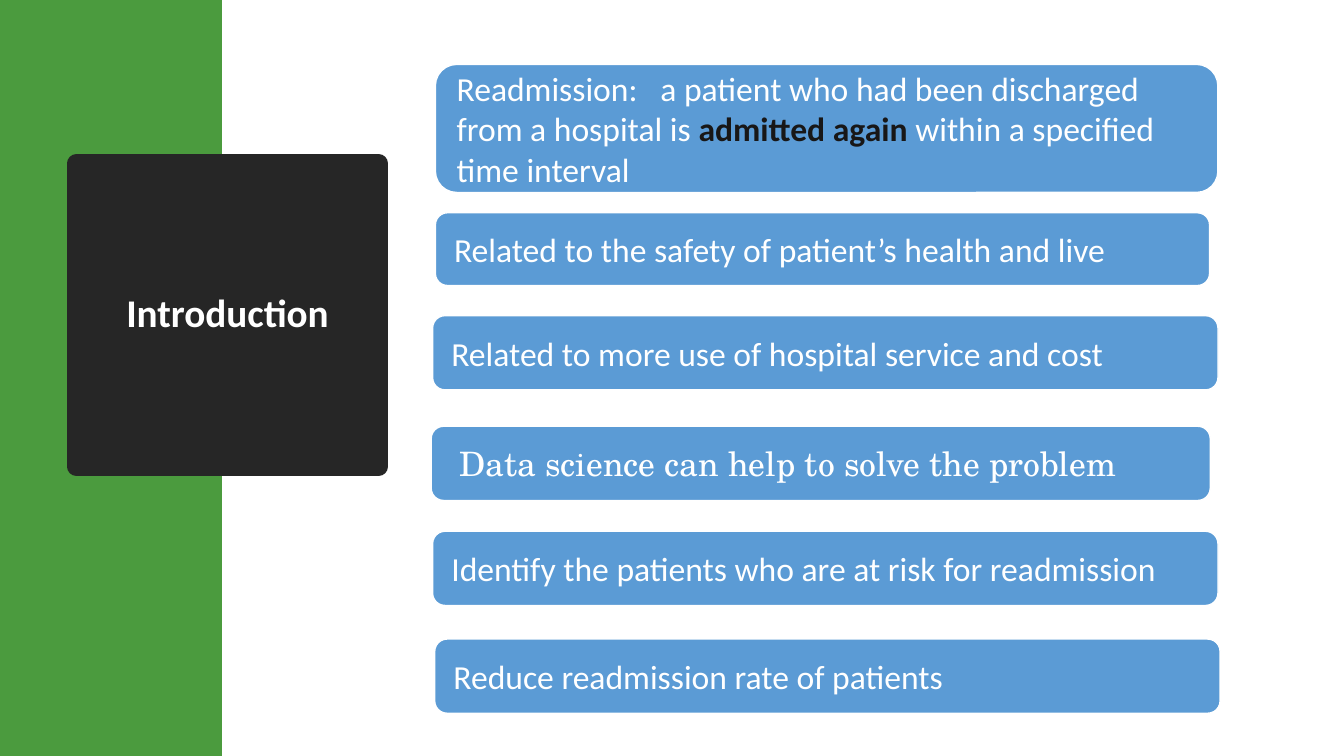
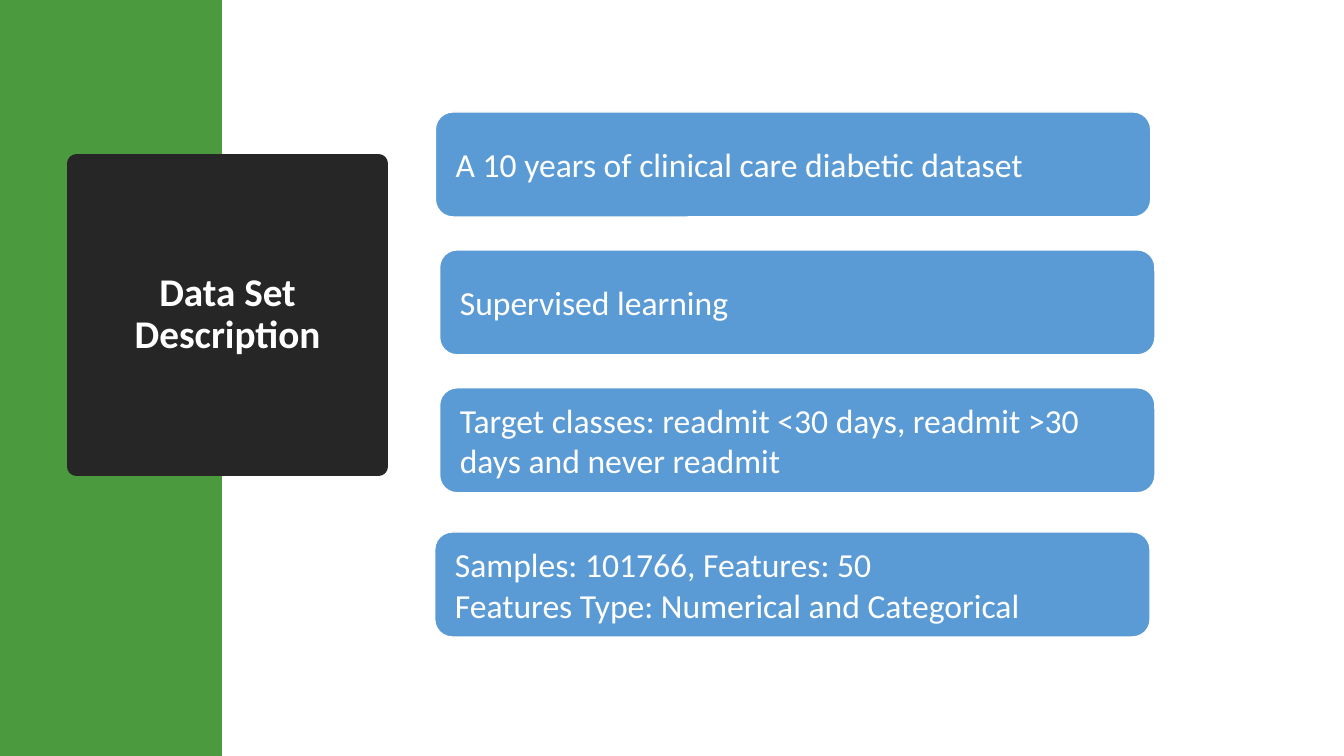
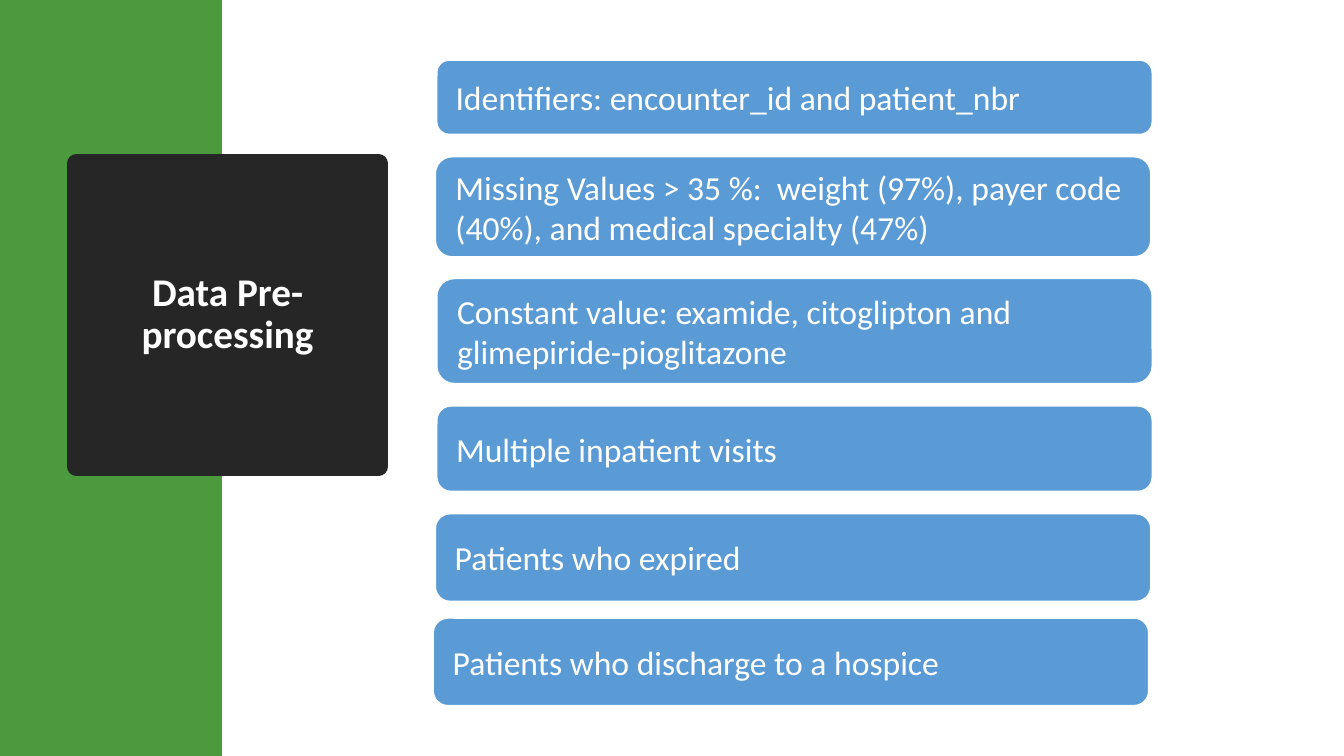
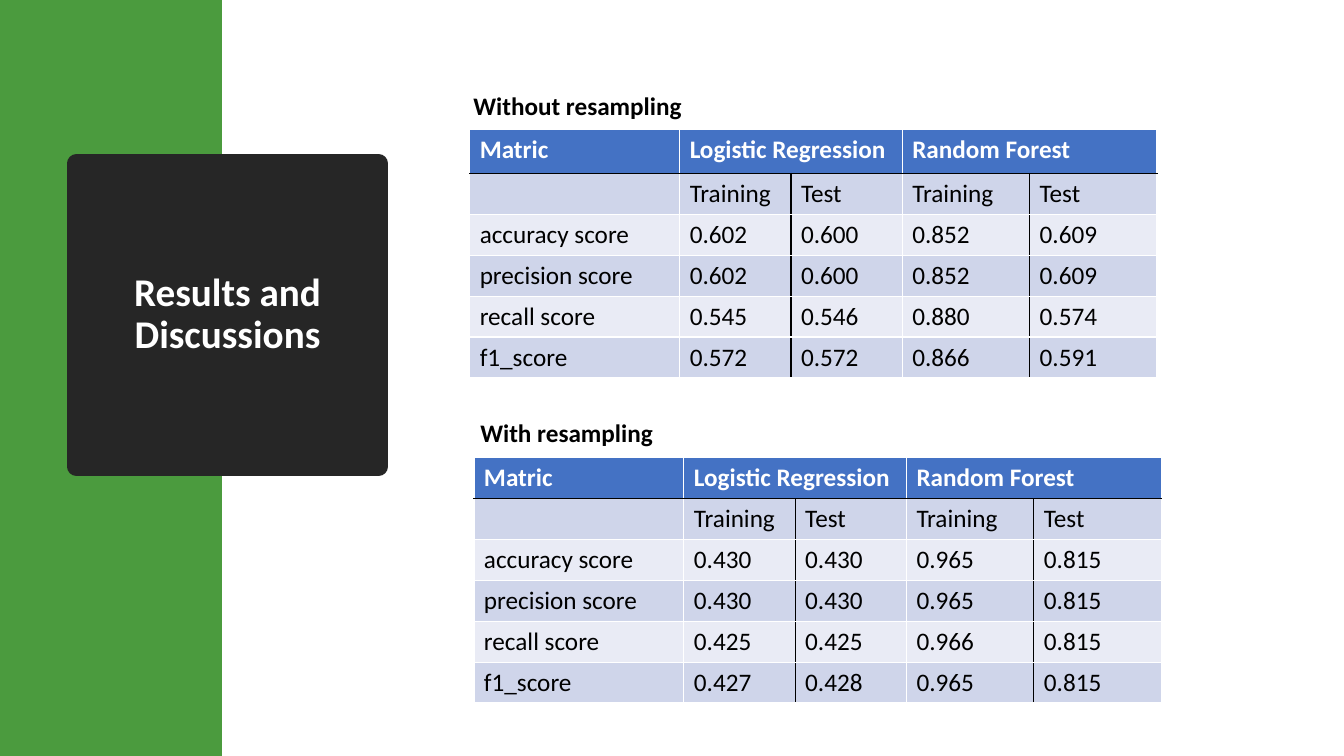
from dataclasses import dataclass
from typing import NamedTuple

from lxml import etree
from pptx import Presentation
from pptx.dml.color import RGBColor
from pptx.enum.shapes import MSO_SHAPE
from pptx.enum.text import MSO_ANCHOR, MSO_AUTO_SIZE, PP_ALIGN
from pptx.oxml.ns import qn
from pptx.presentation import Presentation as Deck
from pptx.slide import Slide
from pptx.table import _Cell
from pptx.text.text import Font
from pptx.util import Pt

RECTANGLE = MSO_SHAPE.RECTANGLE
ROUNDED = MSO_SHAPE.ROUNDED_RECTANGLE
MIDDLE = MSO_ANCHOR.MIDDLE
NO_FIT = MSO_AUTO_SIZE.NONE
LEFT = PP_ALIGN.LEFT
CENTER = PP_ALIGN.CENTER


# Theme: colours, fonts and type sizes
@dataclass(frozen=True)
class Theme:
    green: str = "4B9B3E"
    charcoal: str = "262626"
    card: str = "5B9BD5"
    header: str = "4472C4"
    dark_row: str = "CFD5EA"
    light_row: str = "E9EBF5"
    emphasis: str = "181717"
    white: str = "FFFFFF"
    black: str = "000000"
    font: str = "Calibri"
    serif: str = "TeX Gyre Schola"
    title_size: float = 28
    card_size: float = 24
    table_size: float = 18


THEME = Theme()


# Content types; lengths are in points
class Span(NamedTuple):
    text: str
    strong: bool = False


class Card(NamedTuple):
    left: float
    top: float
    width: float
    height: float
    lines: list[list[Span]]
    font: str = THEME.font


class Scores(NamedTuple):
    caption: str
    caption_left: float
    caption_top: float
    left: float
    top: float
    header_height: float
    rows: list[list[str]]


def plain(*lines: str) -> list[list[Span]]:
    return [[Span(line)] for line in lines]


# Slide content
INTRODUCTION = [
    Card(311, 46, 559, 91.5, [[
        Span("Readmission:   a patient who had been discharged from a hospital is "),
        Span("admitted again ", strong=True),
        Span("within a specified time interval"),
    ]]),
    Card(311, 152, 553, 52, plain("Related to the safety of patient’s health and live")),
    Card(309, 225.5, 561, 53, plain("Related to more use of hospital service and cost")),
    Card(308, 304.5, 556.5, 53, plain(" Data science can help to solve the problem"),
         THEME.serif),
    Card(309, 379.5, 561, 53,
         plain("Identify the patients who are at risk for readmission")),
    Card(310.5, 456.5, 561, 53, plain("Reduce readmission rate of patients")),
]

DATA_SET = [
    Card(left, top, 511, 75, lines) for left, top, lines in [
        (311, 80, plain("A 10 years of clinical care diabetic dataset")),
        (314, 178.5, plain("Supervised learning")),
        (314, 277, plain(
            "Target classes: readmit <30 days, readmit >30 days and never readmit")),
        (310.5, 380, plain("Samples: 101766, Features: 50",
                           "Features Type: Numerical and Categorical")),
    ]
]

PRE_PROCESSING = [
    Card(left, top, 511, height, plain(line)) for left, top, height, line in [
        (312, 43, 53, "Identifiers: encounter_id and patient_nbr"),
        (311, 112, 71.5, "Missing Values > 35 %:  weight (97%), payer code (40%), "
                         "and medical specialty (47%)"),
        (312, 199, 75, "Constant value: examide, citoglipton and "
                       "glimepiride-pioglitazone"),
        (312, 290, 61, "Multiple inpatient visits"),
        (311, 367, 62.5, "Patients who expired"),
        (309.5, 441.5, 62.5, "Patients who discharge to a hospice"),
    ]
]

HEADINGS = [
    ["Matric", "Logistic Regression", "", "Random Forest", ""],
    ["", "Training", "Test", "Training", "Test"],
]
SCORE_COLUMNS = [150, 79.5, 79.5, 91, 91]
SCORE_ROW = 29.2
RESULTS = [
    Scores("Without resampling", 331, 61, 335.5, 92.5, 31.5, [
        ["accuracy score", "0.602", "0.600", "0.852", "0.609"],
        ["precision score", "0.602", "0.600", "0.852", "0.609"],
        ["recall score", "0.545", "0.546", "0.880", "0.574"],
        ["f1_score", "0.572", "0.572", "0.866", "0.591"],
    ]),
    Scores("With resampling", 336, 294.5, 338.5, 327, SCORE_ROW, [
        ["accuracy score", "0.430", "0.430", "0.965", "0.815"],
        ["precision score", "0.430", "0.430", "0.965", "0.815"],
        ["recall score", "0.425", "0.425", "0.966", "0.815"],
        ["f1_score", "0.427", "0.428", "0.965", "0.815"],
    ]),
]


# Drawing
def style(font: Font, size: float, color: str, bold: bool = False,
          face: str = THEME.font) -> None:
    font.name = face
    font.size = Pt(size)
    font.bold = bold
    font.color.rgb = RGBColor.from_string(color)


def paint(shape, fill: str, line: str, line_width: float) -> None:
    shape.fill.solid()
    shape.fill.fore_color.rgb = RGBColor.from_string(fill)
    shape.line.color.rgb = RGBColor.from_string(line)
    shape.line.width = Pt(line_width)


def add_titled_slide(deck: Deck, heading: str) -> Slide:
    """Add a slide with the green side band and the dark title square."""
    slide = deck.slides.add_slide(deck.slide_layouts[5])
    title = slide.shapes.title
    title.left, title.top, title.width, title.height = map(Pt, (54.5, 117, 216, 216))
    paint(title, THEME.charcoal, THEME.charcoal, 13.75)
    frame = title.text_frame
    frame.text = heading
    frame.auto_size = NO_FIT
    frame.vertical_anchor = MIDDLE
    paragraph = frame.paragraphs[0]
    paragraph.alignment = CENTER
    paragraph.line_spacing = 0.9
    style(paragraph.runs[0].font, THEME.title_size, THEME.white, bold=True)

    band = slide.shapes.add_shape(RECTANGLE, 0, 0, Pt(158.5), deck.slide_height)
    band.shadow.inherit = False
    paint(band, THEME.green, THEME.green, 0)
    band.line.fill.background()
    title.element.addprevious(band.element)  # the band lies behind the title
    return slide


def add_card(slide: Slide, card: Card) -> None:
    box = slide.shapes.add_shape(ROUNDED, Pt(card.left), Pt(card.top),
                                 Pt(card.width), Pt(card.height))
    box.shadow.inherit = False
    paint(box, THEME.card, THEME.white, 1)
    frame = box.text_frame
    frame.word_wrap = True
    frame.vertical_anchor = MIDDLE
    frame.margin_left = frame.margin_right = Pt(10.8)
    frame.margin_top = frame.margin_bottom = 0
    for index, spans in enumerate(card.lines):
        paragraph = frame.add_paragraph() if index else frame.paragraphs[0]
        paragraph.alignment = LEFT
        for span in spans:
            run = paragraph.add_run()
            run.text = span.text
            color = THEME.emphasis if span.strong else THEME.white
            style(run.font, THEME.card_size, color, span.strong, card.font)


def set_borders(cell: _Cell, colors: dict[str, str]) -> None:
    properties = cell._tc.get_or_add_tcPr()
    for side, color in colors.items():
        line = etree.SubElement(properties, qn(f"a:ln{side}"), w=str(Pt(1)))
        fill = etree.SubElement(line, qn("a:solidFill"))
        etree.SubElement(fill, qn("a:srgbClr"), val=color)


def format_score_cell(cell: _Cell, row: int, column: int, text: str) -> None:
    is_header = row == 0
    # Black lines lie under the header and between Training and Test
    black_sides = {
        "L": not is_header and column in (2, 4),
        "R": not is_header and column in (1, 3),
        "T": row == 1,
        "B": is_header,
    }
    set_borders(cell, {side: THEME.black if black else THEME.white
                       for side, black in black_sides.items()})
    band = THEME.dark_row if row % 2 else THEME.light_row
    cell.fill.solid()
    cell.fill.fore_color.rgb = RGBColor.from_string(THEME.header if is_header else band)
    if text:
        cell.text_frame.text = text
        style(cell.text_frame.paragraphs[0].runs[0].font, THEME.table_size,
              THEME.white if is_header else THEME.black, is_header)


def add_scores(slide: Slide, scores: Scores) -> None:
    rows = HEADINGS + scores.rows
    heights = [scores.header_height] + [SCORE_ROW] * (len(rows) - 1)
    table = slide.shapes.add_table(
        len(rows), len(SCORE_COLUMNS), Pt(scores.left), Pt(scores.top),
        Pt(sum(SCORE_COLUMNS)), Pt(sum(heights))).table
    for column, width in zip(table.columns, SCORE_COLUMNS):
        column.width = Pt(width)
    for row, height in zip(table.rows, heights):
        row.height = Pt(height)
    for first in (1, 3):
        table.cell(0, first).merge(table.cell(0, first + 1))
    for row, texts in enumerate(rows):
        for column, text in enumerate(texts):
            format_score_cell(table.cell(row, column), row, column, text)

    caption = slide.shapes.add_textbox(Pt(scores.caption_left), Pt(scores.caption_top),
                                       Pt(235.5), Pt(29))
    caption.text_frame.word_wrap = True
    caption.text_frame.text = scores.caption
    style(caption.text_frame.paragraphs[0].runs[0].font, THEME.table_size,
          THEME.black, bold=True)


def main() -> None:
    deck = Presentation()
    deck.slide_width, deck.slide_height = Pt(960), Pt(540)

    # Card slides
    for heading, cards in [
        ("Introduction", INTRODUCTION),
        ("Data Set Description", DATA_SET),
        ("Data Pre-processing", PRE_PROCESSING),
    ]:
        slide = add_titled_slide(deck, heading)
        for card in cards:
            add_card(slide, card)

    # Results slide
    slide = add_titled_slide(deck, "Results and Discussions")
    for scores in RESULTS:
        add_scores(slide, scores)

    deck.save("out.pptx")


if __name__ == "__main__":
    main()
